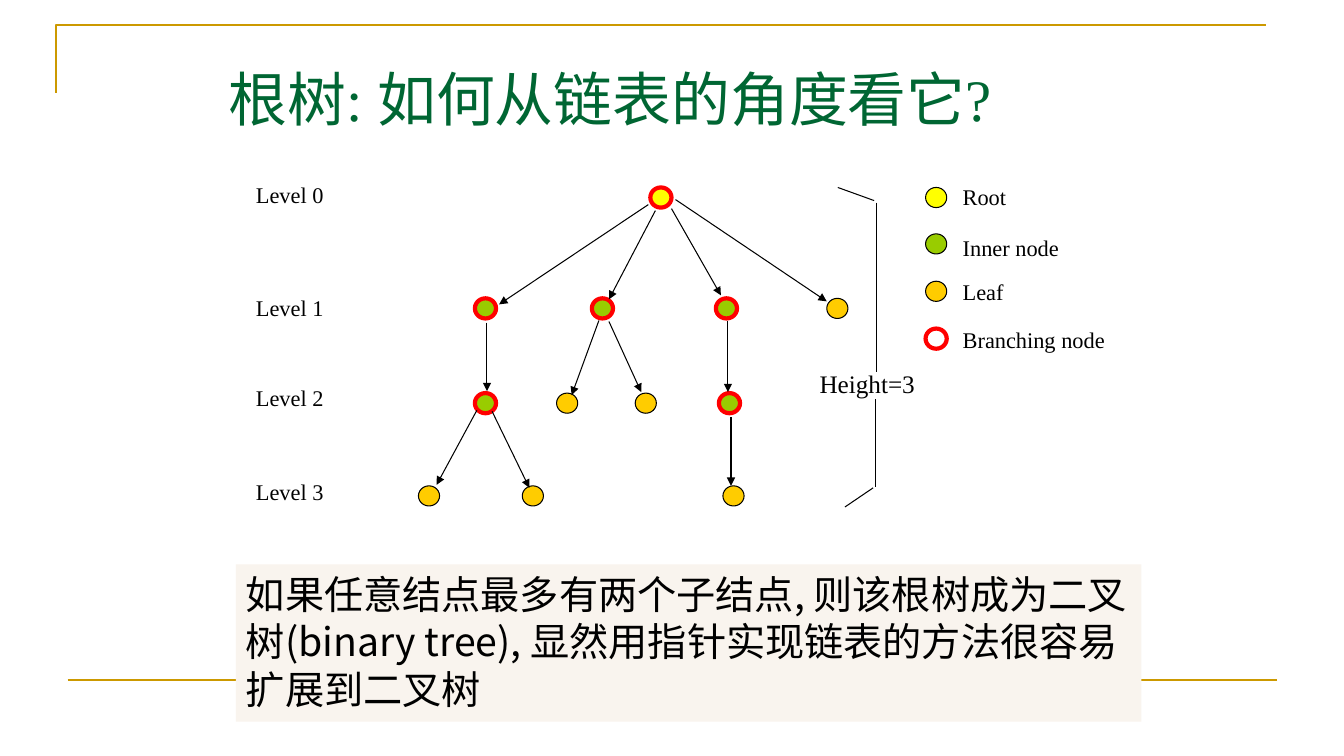
from lxml import etree
from pptx import Presentation
from pptx import util as u
from pptx.dml.color import RGBColor
from pptx.enum import shapes, text
from pptx.oxml import ns

Inches, Pt = u.Inches, u.Pt
COLORS = {
    "gold": "CC9900", "title": "006633", "black": "000000", "red": "FF0000",
    "root": "FFFF00", "inner": "99CC00", "leaf": "FFCC00", "panel": "F9F4EE",
}
SERIF, CJK = "Times New Roman", "Noto Sans CJK SC"
NODE_W, NODE_H = 0.21, 0.2

deck = Presentation()
deck.slide_width, deck.slide_height = Inches(13.33), Inches(7.5)
page = deck.slides.add_slide(deck.slide_layouts[6])


def color(name):
    return RGBColor.from_string(COLORS[name])


def add_line(x1, y1, x2, y2, line_color="black", width=0.75, arrow=False):
    line = page.shapes.add_connector(
        shapes.MSO_CONNECTOR.STRAIGHT, Inches(x1), Inches(y1), Inches(x2), Inches(y2))
    line.line.color.rgb = color(line_color)
    line.line.width = Pt(width)
    if arrow:
        outline = line.line._get_or_add_ln()
        etree.SubElement(outline, ns.qn("a:tailEnd"), type="triangle")
    etree.SubElement(line._element.spPr, ns.qn("a:effectLst"))


def add_text(words, left, top, width, height, size=16, font=SERIF,
             text_color="black", line_height=None, fill=None):
    """Add a wrapped text box; a line height marks Chinese text."""
    box = page.shapes.add_textbox(Inches(left), Inches(top), Inches(width), Inches(height))
    if fill:
        box.fill.solid()
        box.fill.fore_color.rgb = color(fill)
    box.text_frame.word_wrap = True
    para = box.text_frame.paragraphs[0]
    span = para.add_run()
    span.text = words
    span.font.size = Pt(size)
    span.font.name = font
    span.font.color.rgb = color(text_color)
    if line_height:
        para.line_spacing = Pt(line_height)
        etree.SubElement(span.font._element, ns.qn("a:ea"), typeface=CJK)
    else:
        para.alignment = text.PP_ALIGN.JUSTIFY


# Page frame and title
builder = page.shapes.build_freeform(Inches(0.56), Inches(0.92))
builder.add_line_segments(
    [(Inches(0.56), Inches(0.25)), (Inches(12.56), Inches(0.25))], close=False)
corner = builder.convert_to_shape()
corner.shadow.inherit = False
corner.fill.background()
corner.line.color.rgb = color("gold")
corner.line.width = Pt(1.5)
add_line(0.67, 6.75, 12.67, 6.75, "gold", 1.5)
add_text("根树: 如何从链表的角度看它?", 2.17, 0.52, 9, 1.03,
         size=42, text_color="title", line_height=54)

# Tree nodes and legend markers: left, top, fill, branching
nodes = [
    (6.45, 1.86, "root", True),
    (4.71, 2.96, "inner", True), (5.87, 2.96, "inner", True),
    (7.1, 2.96, "inner", True), (8.2, 2.96, "leaf", False),
    (4.71, 3.9, "inner", True), (5.52, 3.9, "leaf", False),
    (6.3, 3.9, "leaf", False), (7.13, 3.9, "inner", True),
    (7.17, 4.82, "leaf", False), (4.15, 4.82, "leaf", False),
    (5.18, 4.82, "leaf", False),
]
legend = [
    ("Root", 1.86, 1.77, "root", False),
    ("Inner node", 2.32, 2.27, "inner", False),
    ("Leaf", 2.79, 2.71, "leaf", False),
    ("Branching node", 3.26, 3.19, None, True),
]
markers = [(9.18, top, fill, branching) for _, top, _, fill, branching in legend]
for left, top, fill, branching in nodes + markers:
    node = page.shapes.add_shape(
        shapes.MSO_SHAPE.OVAL, Inches(left), Inches(top), Inches(NODE_W), Inches(NODE_H))
    node.shadow.inherit = False
    if fill:
        node.fill.solid()
        node.fill.fore_color.rgb = color(fill)
    else:
        node.fill.background()
    node.line.color.rgb = color("red" if branching else "black")
    node.line.width = Pt(3 if branching else 0.75)

# Edges from parent to child
edges = [
    (6.43, 2.03, 4.95, 3.02), (6.5, 2.09, 6.04, 2.97),
    (6.66, 2.07, 7.15, 2.93), (6.7, 1.98, 8.2, 2.99),
    (4.83, 3.2, 4.83, 3.88), (5.94, 3.18, 5.67, 3.92),
    (6.04, 3.19, 6.36, 3.89), (7.22, 3.18, 7.22, 3.89),
    (4.73, 4.07, 4.33, 4.81), (4.88, 4.08, 5.25, 4.84),
    (7.25, 4.14, 7.25, 4.82),
]
for edge in edges:
    add_line(*edge, arrow=True)

# Legend and level labels
for label, _, top, _, _ in legend:
    add_text(label, 9.45, top, 1.74, 0.56)
for level, top in enumerate([1.75, 2.87, 3.76, 4.69]):
    add_text(f"Level {level}", 2.44, top, 1.47, 0.48)

# Height bracket
bracket = [
    (8.69, 2.01, 8.69, 3.69), (8.68, 3.96, 8.68, 4.83),
    (8.67, 1.99, 8.31, 1.86), (8.66, 4.84, 8.38, 5.03),
]
for stroke in bracket:
    add_line(*stroke)
add_text("Height=3", 8.03, 3.61, 1.34, 0.56, size=18)

add_text("如果任意结点最多有两个子结点, 则该根树成为二叉树(binary tree), "
         "显然用指针实现链表的方法很容易扩展到二叉树",
         2.34, 5.6, 8.98, 1.56, size=28, font=CJK, line_height=34, fill="panel")

deck.save("out.pptx")
